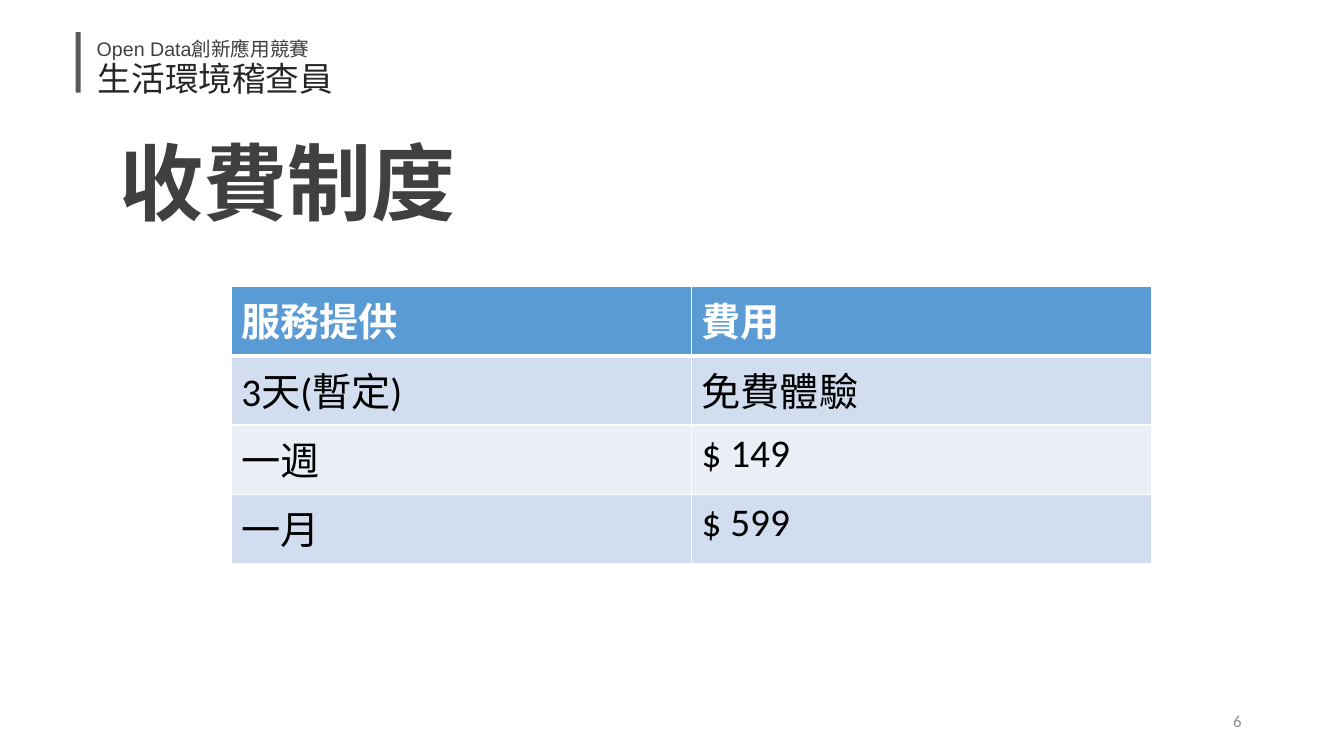
import pptx
import pptx.util
import pptx.dml.color
import pptx.enum.shapes
import pptx.enum.text
import pptx.oxml
import pptx.oxml.ns
import lxml.etree

Pt = pptx.util.Pt
RGB = pptx.dml.color.RGBColor
ALIGN = pptx.enum.text.PP_ALIGN
ANCHOR = pptx.enum.text.MSO_ANCHOR
qn = pptx.oxml.ns.qn

WHITE = RGB(0xFF, 0xFF, 0xFF)
BLACK = RGB(0x00, 0x00, 0x00)
INK = RGB(0x26, 0x26, 0x26)
CHARCOAL = RGB(0x40, 0x40, 0x40)
BAR_GRAY = RGB(0x59, 0x59, 0x59)
NUMBER_GRAY = RGB(0x8C, 0x8C, 0x8C)
HEADER_BLUE = RGB(0x5B, 0x9B, 0xD5)
BANDS = [RGB(0xEA, 0xEF, 0xF7), RGB(0xD2, 0xDE, 0xEF)]
CJK = "Noto Sans CJK SC"

FEES = [
    ("服務提供", "費用"),
    ("3天(暫定)", "免費體驗"),
    ("一週", "$ 149"),
    ("一月", "$ 599"),
]


def set_text(tf, text, color, align=ALIGN.LEFT, spacing=None, **font):
    p = tf.paragraphs[0]
    p.alignment = align
    p.line_spacing = spacing
    r = p.add_run()
    r.text = text
    for name, value in font.items():
        setattr(r.font, name, value)
    r.font.color.rgb = color
    ea = lxml.etree.SubElement(r.font._element, qn("a:ea"))
    ea.set("typeface", CJK)


def place(sp, box):
    for name, value in zip(("left", "top", "width", "height"), box):
        setattr(sp, name, Pt(value))


def set_frame(tf, wrap=True, anchor=ANCHOR.TOP):
    frame = {
        "word_wrap": wrap,
        "vertical_anchor": anchor,
        "auto_size": pptx.enum.text.MSO_AUTO_SIZE.NONE,
    }
    for name, value in frame.items():
        setattr(tf, name, value)


def add_label(s, box, text, color, wrap=True, anchor=ANCHOR.TOP, **style):
    sp = s.shapes.add_textbox(*map(Pt, box))
    set_frame(sp.text_frame, wrap, anchor)
    set_text(sp.text_frame, text, color, **style)


def add_title(s, box, text, color, **style):
    sp = s.shapes.title
    place(sp, box)
    set_frame(sp.text_frame)
    set_text(sp.text_frame, text, color, **style)


def add_bar(s, box, color):
    sp = s.shapes.add_shape(pptx.enum.shapes.MSO_SHAPE.RECTANGLE, *map(Pt, box))
    sp.shadow.inherit = False
    sp.fill.solid()
    sp.fill.fore_color.rgb = color
    sp.line.fill.background()


def set_borders(cell, widths):
    tcPr = cell._tc.get_or_add_tcPr()
    for i, (side, width) in enumerate(widths.items()):
        ln = pptx.oxml.parse_xml(
            f'<a:ln{side} {pptx.oxml.ns.nsdecls("a")} w="{Pt(width)}">'
            f'<a:solidFill><a:srgbClr val="{WHITE}"/></a:solidFill></a:ln{side}>'
        )
        tcPr.insert(i, ln)


def add_fee_table(s, box, rows):
    shape = s.shapes.add_table(len(rows), len(rows[0]), *map(Pt, box))
    table = shape.table
    for i, row in enumerate(rows):
        header = i == 0
        for j, text in enumerate(row):
            cell = table.cell(i, j)
            cell.fill.solid()
            cell.fill.fore_color.rgb = HEADER_BLUE if header else BANDS[i % 2]
            set_text(cell.text_frame, text, WHITE if header else BLACK,
                     size=Pt(28), name="Calibri", bold=header)
            set_borders(cell, {"L": 1, "R": 1, "T": 3 if i == 1 else 1,
                               "B": 3 if header else 1})


def main():
    prs = pptx.Presentation()
    prs.slide_width, prs.slide_height = Pt(960), Pt(540)
    s = prs.slides.add_slide(prs.slide_layouts[5])
    add_label(s, (62, 18, 216, 29.5), "Open Data創新應用競賽", CHARCOAL,
              spacing=1.3, size=Pt(14), name="Arial")
    add_label(s, (62, 37.5, 184, 36), "生活環境稽查員", INK, wrap=False,
              align=ALIGN.CENTER, size=Pt(24), name=CJK)
    add_bar(s, (54, 23, 3.6, 43.2), BAR_GRAY)
    add_title(s, (78, 89.3, 432, 80), "收費制度", CHARCOAL,
              size=Pt(60), name=CJK, bold=True)
    add_fee_table(s, (165.2, 204.6, 657.6, 198), FEES)
    add_label(s, (678, 500.5, 216, 28.8), "6", NUMBER_GRAY, anchor=ANCHOR.MIDDLE,
              align=ALIGN.RIGHT, size=Pt(12), name="Calibri")
    prs.save("out.pptx")


main()
